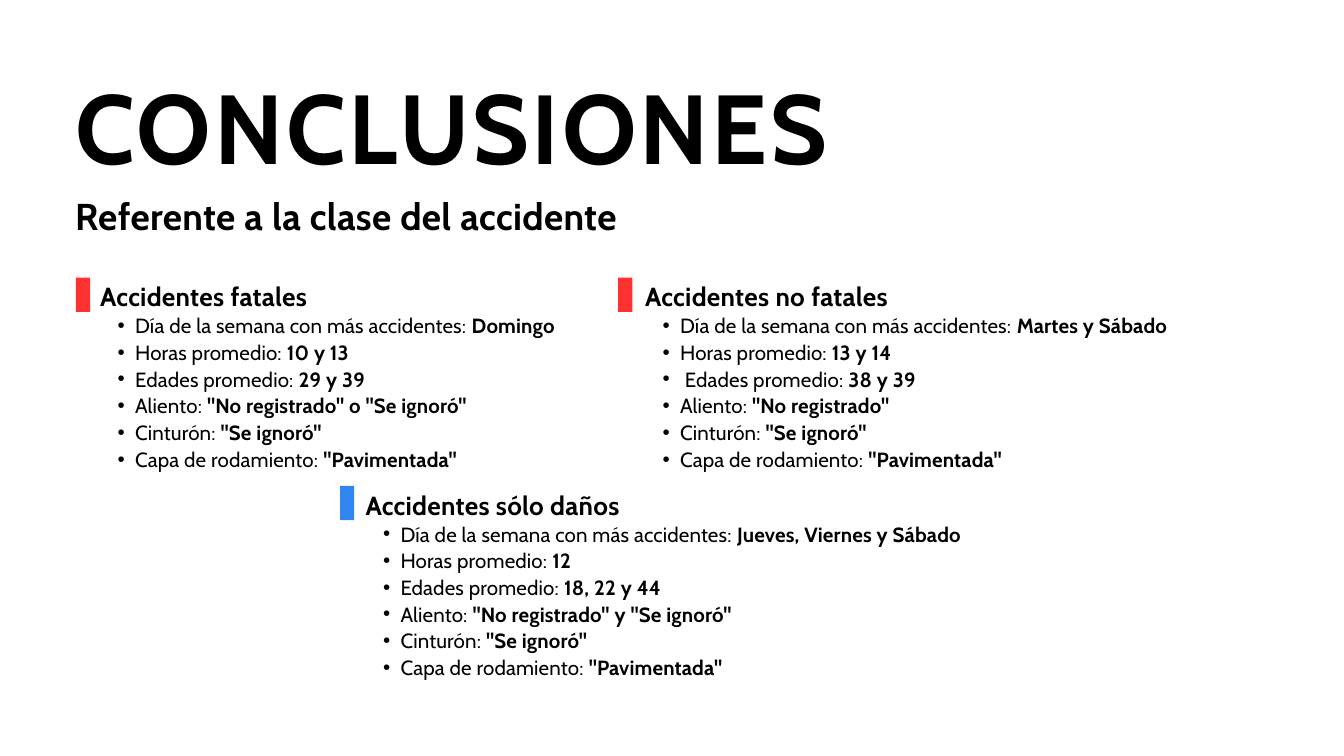
from lxml.etree import SubElement
from pptx import Presentation
from pptx.dml.color import RGBColor
from pptx.enum.shapes import MSO_SHAPE
from pptx.enum.text import MSO_ANCHOR, MSO_AUTO_SIZE, PP_ALIGN
from pptx.oxml.ns import qn
from pptx.util import Inches, Pt

FONT = "Cabin"
COLORS = {"text": "000000", "red": "FF3131", "blue": "3185F0"}
LABELS = ["Día de la semana con más accidentes: ", "Horas promedio: ",
          "Edades promedio: ", "Aliento: ", "Cinturón: ", "Capa de rodamiento: "]

# heading, marker colour, marker left, top, text left, heading width, list width, values
SECTIONS = [
    ("Accidentes fatales", "red", 1.13, 4.13, 1.49, 6.97, 7.66,
     ["Domingo", "10 y 13", "29 y 39", '"No registrado" o "Se ignoró"',
      '"Se ignoró"', '"Pavimentada"']),
    ("Accidentes no fatales", "red", 9.2, 4.13, 9.6, 7.86, 9.52,
     ["Martes y Sábado", "13 y 14", "38 y 39", '"No registrado"',
      '"Se ignoró"', '"Pavimentada"']),
    ("Accidentes sólo daños", "blue", 5.06, 7.23, 5.44, 7.86, 10.77,
     ["Jueves, Viernes y Sábado", "12", "18, 22 y 44",
      '"No registrado" y "Se ignoró"', '"Se ignoró"', '"Pavimentada"']),
]


def place(sp, left, top, width, height):
    sp.left, sp.top = Inches(left), Inches(top)
    sp.width, sp.height = Inches(width), Inches(height)


def add_run(p, text, size, bold=True, spacing=0.0, color="text"):
    r = p.add_run()
    r.text = text
    r.font.name, r.font.size, r.font.bold = FONT, Pt(size), bold
    r.font.color.rgb = RGBColor.from_string(COLORS[color])
    r._r.get_or_add_rPr().set("spc", str(round(spacing * 100)))


def add_bullet(p, margin=0.52, hang=0.26):
    p.level = 1
    pPr = p._p.get_or_add_pPr()
    pPr.set("marL", str(Inches(margin)))
    pPr.set("indent", str(-Inches(hang)))
    SubElement(pPr, qn("a:buFont")).set("typeface", "Arial")
    SubElement(pPr, qn("a:buChar")).set("char", "•")


def write_text(sp, paragraphs, line, size, spacing, bullets=False):
    """Fill a shape; each paragraph is a list of (text, bold) pairs."""
    tf = sp.text_frame
    tf.word_wrap = True
    tf.auto_size = MSO_AUTO_SIZE.SHAPE_TO_FIT_TEXT
    tf.vertical_anchor = MSO_ANCHOR.TOP
    tf.margin_left = tf.margin_top = tf.margin_right = tf.margin_bottom = 0
    for i, runs in enumerate(paragraphs):
        p = tf.add_paragraph() if i else tf.paragraphs[0]
        if bullets:
            add_bullet(p)
        p.alignment = PP_ALIGN.LEFT
        p.line_spacing = Pt(line)
        p.space_before = Pt(0)
        for text, bold in runs:
            add_run(p, text, size, bold, spacing)


def add_text(shapes, box, paragraphs, **fmt):
    sp = shapes.add_textbox(*map(Inches, box))
    write_text(sp, paragraphs, **fmt)


def add_marker(shapes, left, top, color):
    sp = shapes.add_shape(MSO_SHAPE.RECTANGLE, Inches(left), Inches(top),
                          Inches(0.21), Inches(0.51))
    sp.shadow.inherit = False
    sp.fill.solid()
    sp.fill.fore_color.rgb = RGBColor.from_string(COLORS[color])
    sp.line.fill.background()


def add_section(slide, heading, color, marker_left, top, left,
                heading_width, list_width, values):
    shapes = slide.shapes.add_group_shape().shapes
    add_text(shapes, (left, top + 0.01, heading_width, 0.49), [[(heading, True)]],
             line=36.4, size=28, spacing=0.3)
    items = [[(label, False), (value, True)] for label, value in zip(LABELS, values)]
    if heading == "Accidentes no fatales":
        items[2][0] = (" " + LABELS[2], False)
    add_text(shapes, (left, top + 0.5, list_width, 2.4), items,
             line=28.6, size=22, spacing=0.2, bullets=True)
    add_marker(shapes, marker_left, top, color)


def main():
    prs = Presentation()
    prs.slide_width, prs.slide_height = Inches(20), Inches(11.25)
    slide = prs.slides.add_slide(prs.slide_layouts[5])
    title = slide.shapes.title
    place(title, 1.12, 1.46, 17.75, 1.41)
    write_text(title, [[("CONCLUSIONES", True)]], line=92.4, size=105, spacing=3.1)
    add_text(slide.shapes, (1.12, 2.82, 9.53, 0.72),
             [[("Referente a la clase del accidente", True)]],
             line=52, size=40, spacing=0.4)
    for section in SECTIONS:
        add_section(slide, *section)
    prs.save("out.pptx")


if __name__ == "__main__":
    main()
